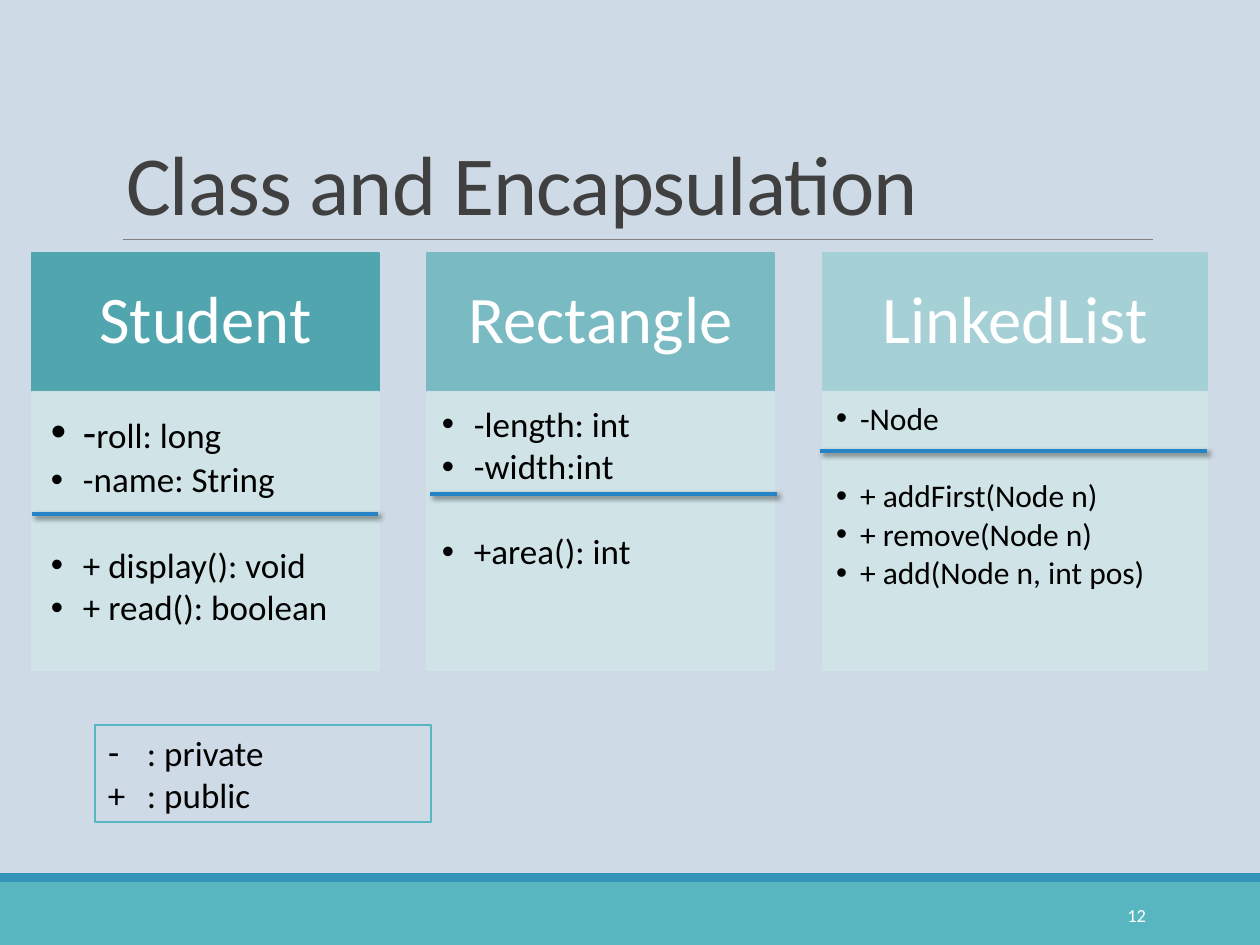
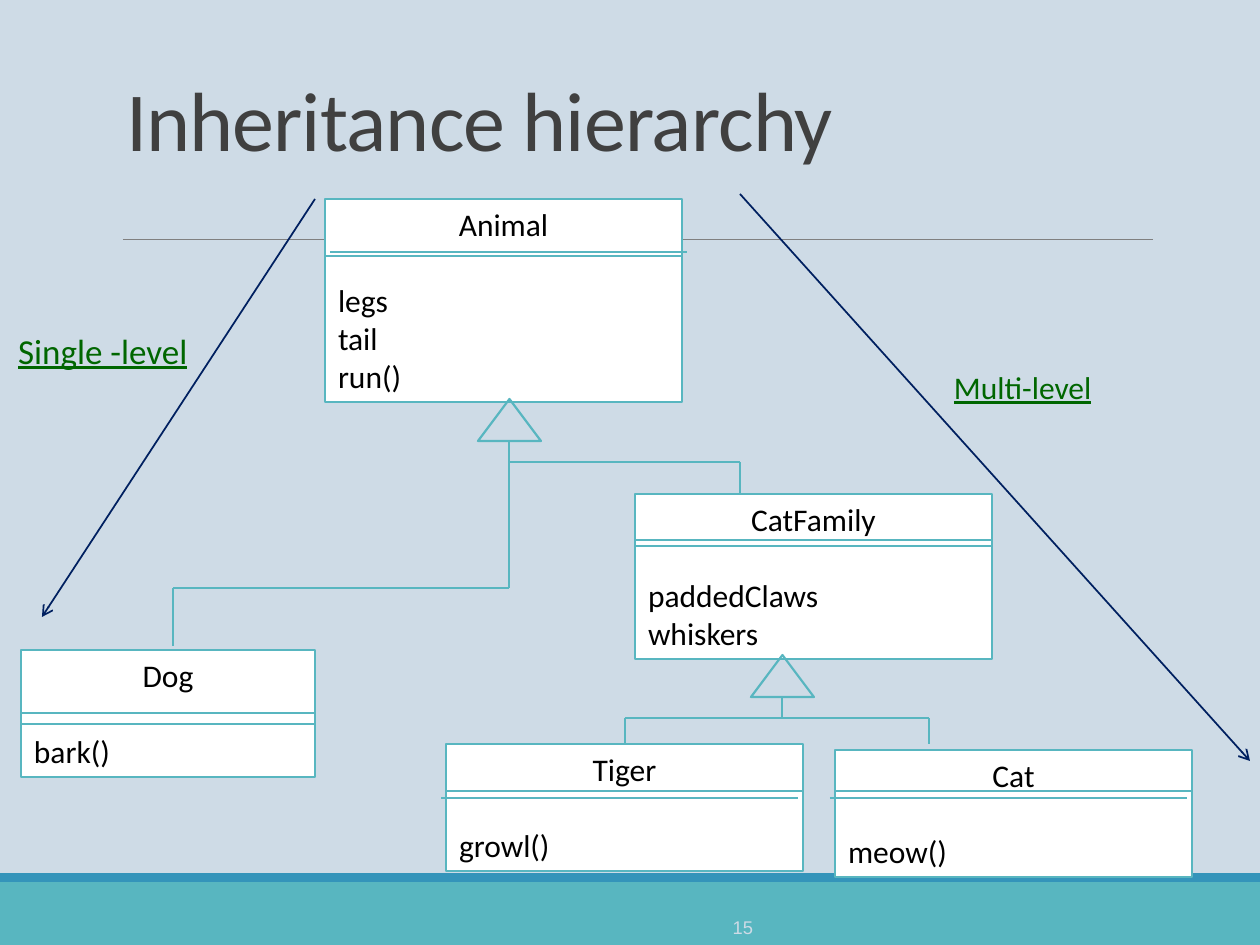
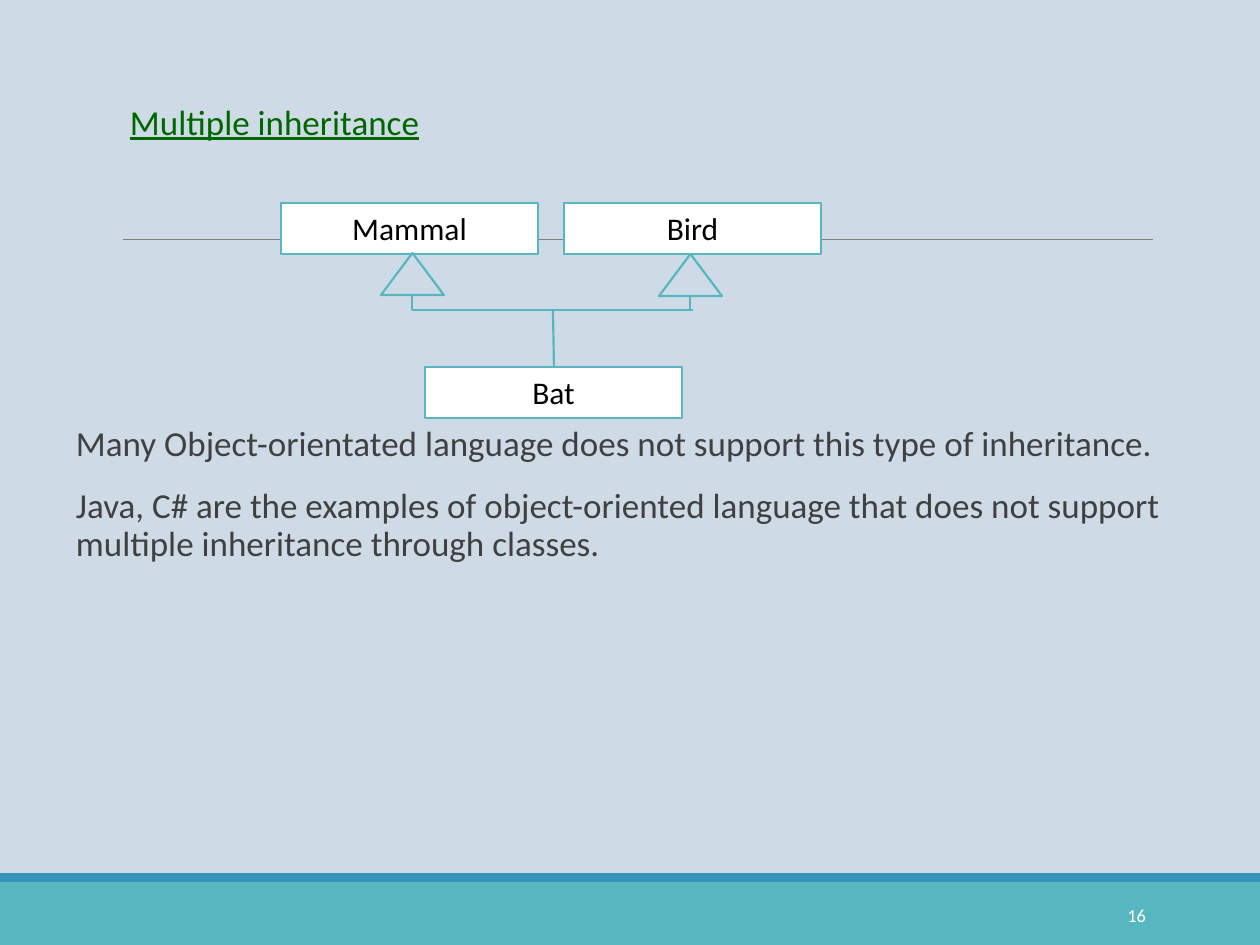
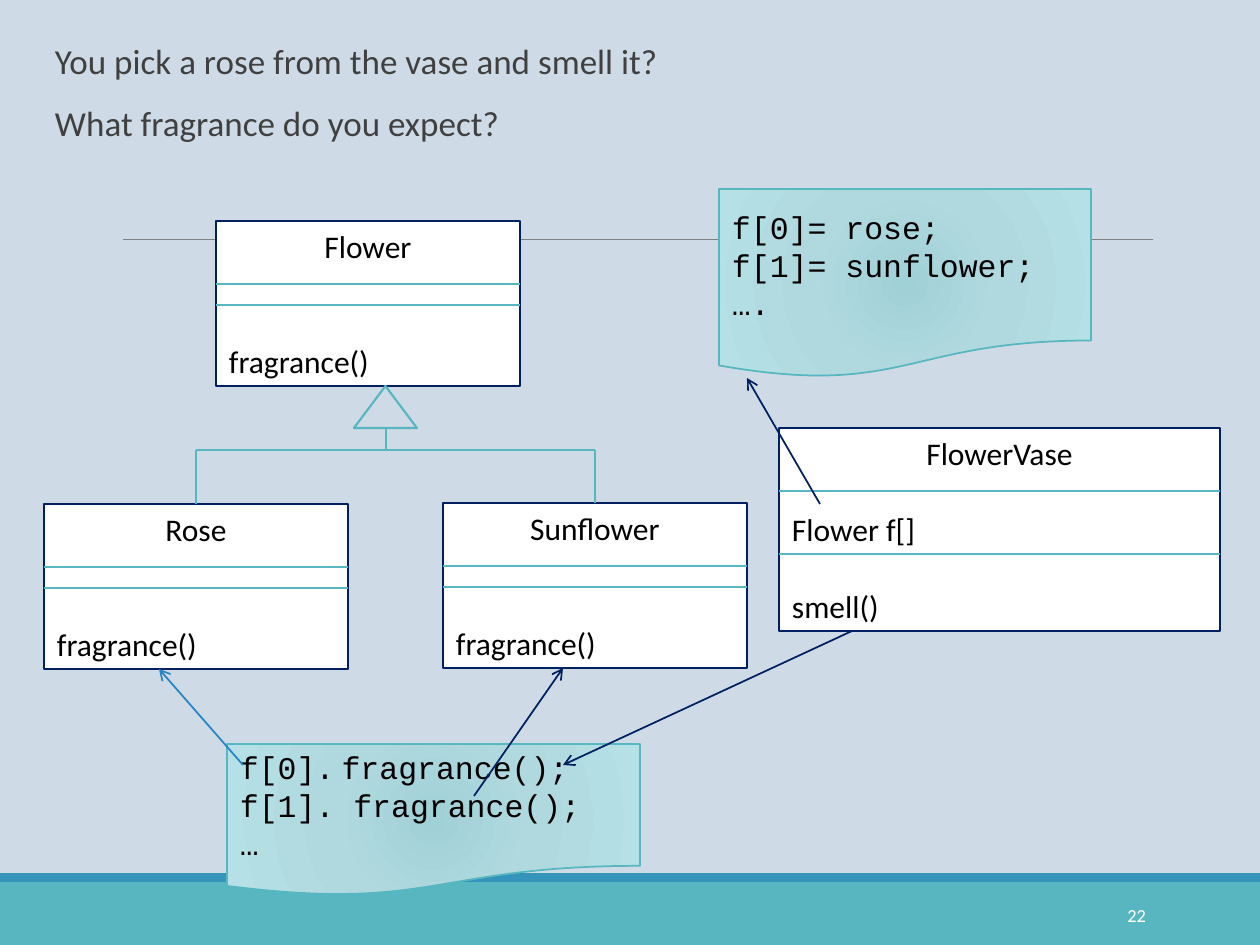
from dataclasses import dataclass
from typing import NamedTuple

from lxml.etree import SubElement
from pptx import Presentation
from pptx.dml.color import RGBColor
from pptx.enum.shapes import MSO_CONNECTOR, MSO_SHAPE
from pptx.enum.text import MSO_ANCHOR, MSO_AUTO_SIZE, PP_ALIGN
from pptx.oxml.ns import qn
from pptx.util import Emu, Pt

SCALE = 914400 / 126
HUES = {
    "back": "CEDBE6", "teal": "58B6C0", "band": "3494BA", "grey": "808080",
    "title": "404040", "white": "FFFFFF", "black": "000000", "navy": "002060",
    "blue": "2683C6", "green": "006600", "card": "D1E5E8",
    "head1": "50A5AE", "head2": "7ABAC2", "head3": "A5D0D6",
    "glow1": "A0D1D7", "glow2": "B0D9DF", "glow3": "B5E0E6",
}
LINE = 38
GAP = 22
PAD = (13, 6, 13, 6)


class Area(NamedTuple):
    left: int
    top: int
    width: int
    height: int


class Wire(NamedTuple):
    x1: int
    y1: int
    x2: int
    y2: int


class Rule(NamedTuple):
    drop: int
    shift: int = 0


@dataclass(frozen=True)
class Style:
    size: float = 18
    hue: str = "black"
    font: str = "Calibri"
    under: bool = False


class Piece(NamedTuple):
    text: str
    style: Style = Style()


@dataclass(frozen=True)
class Para:
    runs: tuple[Piece, ...]
    align: PP_ALIGN = PP_ALIGN.LEFT
    before: float = 0
    after: float = 0
    line: float = 1.0
    mark: str = ""
    hang: int = 0


@dataclass(frozen=True)
class Card:
    left: int
    width: int
    name: str
    hue: str
    fields: tuple[tuple[Piece, ...], ...]
    calls: tuple[tuple[Piece, ...], ...]
    size: int
    hang: int
    pad: tuple[int, int, int, int]
    rule: Wire


@dataclass(frozen=True)
class Box:
    left: int
    top: int
    width: int
    name: str
    groups: tuple[tuple[str, ...], ...] = ()
    rules: tuple[Rule, ...] = ()
    edge: str = "teal"

    def height(self) -> int:
        return 13 + LINE * (1 + sum(len(group) + 1 for group in self.groups))


def px(value: float) -> Emu:
    return Emu(round(value * SCALE))


def rgb(hue: str) -> RGBColor:
    return RGBColor.from_string(HUES[hue])


def plain(text: str, style: Style = Style(), **extra) -> Para:
    return Para((Piece(text, style),), **extra)


def write(frame, paras, pad=PAD, anchor=MSO_ANCHOR.TOP, wrap=True) -> None:
    frame.auto_size = MSO_AUTO_SIZE.NONE
    frame.word_wrap = wrap
    frame.vertical_anchor = anchor
    frame.margin_left, frame.margin_top, frame.margin_right, frame.margin_bottom = map(px, pad)
    for index, para in enumerate(paras):
        line = frame.add_paragraph() if index else frame.paragraphs[0]
        line.alignment = para.align
        line.line_spacing = para.line
        line.space_before = Pt(para.before)
        line.space_after = Pt(para.after)
        if para.hang:
            props = line._p.get_or_add_pPr()
            props.set("marL", str(px(para.hang)))
            props.set("indent", str(-px(para.hang)))
            if para.mark:
                SubElement(props, qn("a:buFont")).set("typeface", "Arial")
                SubElement(props, qn("a:buChar")).set("char", para.mark)
        for piece in para.runs:
            run = line.add_run()
            run.text = piece.text
            run.font.name = piece.style.font
            run.font.size = Pt(piece.style.size)
            run.font.color.rgb = rgb(piece.style.hue)
            if piece.style.under:
                run.font.underline = True


def draw(slide, kind: MSO_SHAPE, area: Area, fill: str = "", edge: str = "", weight: float = 1.25):
    shape = slide.shapes.add_shape(kind, *map(px, area))
    shape.shadow.inherit = False
    if fill:
        shape.fill.solid()
        shape.fill.fore_color.rgb = rgb(fill)
    else:
        shape.fill.background()
    if edge:
        shape.line.color.rgb = rgb(edge)
        shape.line.width = Pt(weight)
    else:
        shape.line.fill.background()
    return shape


def label(slide, area: Area, paras, **extra) -> None:
    write(slide.shapes.add_textbox(*map(px, area)).text_frame, paras, **extra)


def link(slide, wire: Wire, hue: str = "teal", weight: float = 1.25,
         arrow: bool = False, shade: bool = False):
    line = slide.shapes.add_connector(MSO_CONNECTOR.STRAIGHT, *map(px, wire))
    line.line.color.rgb = rgb(hue)
    line.line.width = Pt(weight)
    props = line.element.spPr
    if arrow:
        SubElement(props.find(qn("a:ln")), qn("a:tailEnd")).set("type", "arrow")
    effect = SubElement(props, qn("a:effectLst"))
    if shade:
        shadow = SubElement(effect, qn("a:outerShdw"), blurRad=str(Pt(3)),
                            dist=str(Pt(2)), dir="2700000", rotWithShape="0")
        tint = SubElement(shadow, qn("a:srgbClr"), val=HUES["black"])
        SubElement(tint, qn("a:alpha"), val="60000")
    return line


def dress(deck, slide) -> None:
    master = deck.slide_master
    master.background.fill.solid()
    master.background.fill.fore_color.rgb = rgb("back")
    parts = (
        draw(slide, MSO_SHAPE.RECTANGLE, Area(0, 882, 1260, 63), "teal"),
        draw(slide, MSO_SHAPE.RECTANGLE, Area(0, 873, 1260, 9), "band"),
        link(slide, Wire(123, 239, 1153, 239), "grey", 0.5),
    )
    for part in parts:
        master.shapes.element.append(part.element)


def head(slide, text: str, height: int) -> None:
    title = slide.shapes.title
    title.left, title.top, title.width, title.height = map(px, Area(113, 39, 1040, height))
    write(title.text_frame, [plain(text, Style(48, "title"), line=0.85)], anchor=MSO_ANCHOR.BOTTOM)
    for props in title.element.iter(qn("a:rPr")):
        props.set("spc", "-50")


def number(slide, text: str, area: Area = Area(1023, 890, 136, 50),
           style: Style = Style(10.5, "white")) -> None:
    label(slide, area, [plain(text, style, align=PP_ALIGN.RIGHT)], anchor=MSO_ANCHOR.MIDDLE)


def prose(slide, area: Area, lines: tuple[str, ...]) -> None:
    paras = [plain(text, Style(20, "title"), line=0.9, before=12 if index else 0, after=2)
             for index, text in enumerate(lines)]
    label(slide, area, paras, pad=(13, 6, 0, 6))


def tag(slide, area: Area, text: str, size: int) -> None:
    label(slide, area, [plain(text, Style(size, "green", under=True))], wrap=False)


def card(slide, item: Card) -> None:
    top = draw(slide, MSO_SHAPE.RECTANGLE, Area(item.left, 253, item.width, 139), item.hue, item.hue)
    write(top.text_frame, [plain(item.name, Style(38, "white"), align=PP_ALIGN.CENTER, line=0.9)],
          (38, 21, 38, 21), MSO_ANCHOR.MIDDLE)
    body = draw(slide, MSO_SHAPE.RECTANGLE, Area(item.left, 392, item.width, 278), "card", "card")
    for tint in body.element.spPr.iter(qn("a:srgbClr")):
        SubElement(tint, qn("a:alpha"), val="90000")
    split = len(item.fields)
    paras = [Para(runs, before=round(item.size * 1.23, 1) if index == split else 0,
                  after=2.6, line=0.9, mark="•", hang=item.hang)
             for index, runs in enumerate(item.fields + item.calls)]
    write(body.text_frame, paras, item.pad)


def box(slide, item: Box) -> None:
    area = Area(item.left, item.top, item.width, item.height())
    shape = draw(slide, MSO_SHAPE.RECTANGLE, area, "white", item.edge)
    paras = [plain(item.name, align=PP_ALIGN.CENTER)]
    space = 0
    for group in item.groups:
        space += GAP
        for text in group:
            paras.append(plain(text, before=space))
            space = 0
    write(shape.text_frame, paras)
    for rule in item.rules:
        left, high = item.left + rule.shift, item.top + rule.drop
        link(slide, Wire(left, high, left + item.width, high), weight=1)


def tree(slide, boxes, tips, wires) -> None:
    for item in boxes:
        box(slide, item)
    for left, top in tips:
        draw(slide, MSO_SHAPE.ISOSCELES_TRIANGLE, Area(left, top, 63, 42), edge="teal")
    for wire in wires:
        link(slide, wire)


def note(slide, area: Area, lines: tuple[tuple[Piece, ...], ...]) -> None:
    shape = draw(slide, MSO_SHAPE.FLOWCHART_DOCUMENT, area, "glow1", "teal", 1)
    props = shape.element.spPr
    solid = props.find(qn("a:solidFill"))
    grad = SubElement(props, qn("a:gradFill"), rotWithShape="1")
    stops = SubElement(grad, qn("a:gsLst"))
    for place, hue in ((0, "glow1"), (45, "glow2"), (100, "glow3")):
        stop = SubElement(stops, qn("a:gs"), pos=str(place * 1000))
        SubElement(stop, qn("a:srgbClr"), val=HUES[hue])
    course = SubElement(grad, qn("a:path"), path="circle")
    SubElement(course, qn("a:fillToRect"), {side: "100000" for side in "ltrb"})
    props.replace(solid, grad)
    write(shape.text_frame, [Para(runs) for runs in lines], anchor=MSO_ANCHOR.MIDDLE)


def items(size: int, *texts: str) -> tuple[tuple[Piece, ...], ...]:
    return tuple((Piece(text, Style(size)),) for text in texts)


def classes(slide) -> None:
    head(slide, "Class and Encapsulation", 200)
    number(slide, "12")
    roll = ((Piece("-", Style(25)), Piece("roll: long", Style(20))),)
    cards = (
        Card(32, 347, "Student", "head1", roll + items(20, "-name: String"),
             items(20, "+ display(): void", "+ read(): boolean"),
             20, 32, (19, 19, 24, 28), Wire(32, 514, 378, 514)),
        Card(427, 347, "Rectangle", "head2", items(20, "-length: int", "-width:int"),
             items(20, "+area(): int"),
             20, 32, (15, 15, 20, 21), Wire(430, 494, 777, 494)),
        Card(823, 384, "LinkedList", "head3", items(18, "-Node"),
             items(18, "+ addFirst(Node n)", "+ remove(Node n)", "+ add(Node n, int pos)"),
             18, 24, (13, 11, 18, 20), Wire(820, 451, 1207, 451)),
    )
    for item in cards:
        card(slide, item)
    for item in cards:
        link(slide, item.rule, "blue", 2, shade=True)
    key = draw(slide, MSO_SHAPE.RECTANGLE, Area(95, 725, 336, 97), edge="teal", weight=0.75)
    write(key.text_frame, [plain(": private", Style(20), mark="-", hang=39),
                           plain("+\t: public", Style(20), hang=39)])


def levels(slide) -> None:
    head(slide, "Inheritance hierarchy", 136)
    number(slide, "15", Area(472, 911, 294, 33), Style(10.5, "back", "Arial"))
    boxes = (
        Box(325, 199, 357, "Animal", (("legs", "tail", "run()"),), (Rule(57), Rule(53, 5))),
        Box(21, 650, 294, "Dog", (("bark()",),), (Rule(63), Rule(74))),
        Box(446, 744, 357, "Tiger", (("growl()",),), (Rule(47), Rule(54, -5))),
        Box(635, 494, 357, "CatFamily", (("paddedClaws", "whiskers"),), (Rule(46), Rule(52))),
        Box(835, 750, 357, "Cat", (("meow()",),), (Rule(41), Rule(48, -5))),
    )
    wires = (
        Wire(509, 441, 509, 588), Wire(509, 588, 173, 588), Wire(173, 588, 173, 646),
        Wire(509, 462, 740, 462), Wire(740, 462, 740, 494),
        Wire(782, 697, 782, 718), Wire(625, 718, 929, 718),
        Wire(625, 744, 625, 718), Wire(929, 744, 929, 718),
    )
    tree(slide, boxes, ((478, 399), (751, 655)), wires)
    for wire in (Wire(315, 199, 42, 617), Wire(740, 194, 1250, 761)):
        link(slide, wire, "navy", 1, arrow=True)
    tag(slide, Area(5, 323, 218, 55), "Single -level", 20)
    tag(slide, Area(941, 362, 169, 50), "Multi-level", 18)


def merge(slide) -> None:
    prose(slide, Area(63, 420, 1134, 456), (
        "Many Object-orientated language does not support this type of inheritance.",
        "Java, C# are the examples of object-oriented language that does not support "
        "multiple inheritance through classes."))
    number(slide, "16")
    boxes = (Box(281, 203, 257, "Mammal"), Box(564, 203, 257, "Bird"), Box(425, 367, 257, "Bat"))
    wires = (Wire(412, 295, 412, 310), Wire(690, 295, 690, 310),
             Wire(412, 310, 693, 310), Wire(553, 310, 554, 367))
    tree(slide, boxes, ((381, 253), (659, 254)), wires)
    tag(slide, Area(117, 94, 330, 55), "Multiple inheritance", 20)


def flowers(slide) -> None:
    prose(slide, Area(42, 38, 829, 151), (
        "You pick a rose from the vase and smell it?", "What fragrance do you expect?"))
    number(slide, "22")
    smell = ((), ("fragrance()",))
    rules = (Rule(63), Rule(84))
    boxes = (
        Box(216, 221, 304, "Flower", smell, rules, "navy"),
        Box(44, 504, 304, "Rose", smell, rules, "navy"),
        Box(443, 503, 304, "Sunflower", smell, rules, "navy"),
        Box(779, 428, 441, "FlowerVase", (("Flower f[]",), ("smell()",)),
            (Rule(63), Rule(126)), "navy"),
    )
    wires = (Wire(386, 428, 386, 450), Wire(196, 450, 595, 450),
             Wire(196, 450, 196, 504), Wire(595, 450, 595, 503))
    tree(slide, boxes, ((354, 386),), wires)
    code = Style(font="Courier New")
    note(slide, Area(719, 189, 372, 189), (
        (Piece("f[0]= rose;", code),), (Piece("f[1]= sunflower;", code),), (Piece("….", code),)))
    note(slide, Area(227, 744, 413, 152), (
        (Piece("f[0].", code), Piece(" "), Piece("fragrance();", code)),
        (Piece("f[1]. fragrance();", code),), (Piece("…", code),)))
    arrows = ((Wire(820, 504, 747, 378), "navy"), (Wire(852, 631, 563, 765), "navy"),
              (Wire(243, 765, 159, 669), "blue"), (Wire(474, 796, 563, 668), "navy"))
    for wire, hue in arrows:
        link(slide, wire, hue, 1, arrow=True)


def main() -> None:
    deck = Presentation()
    deck.slide_width, deck.slide_height = px(1260), px(945)
    titled, blank = deck.slide_layouts[5], deck.slide_layouts[6]
    pages = ((titled, classes), (titled, levels), (blank, merge), (blank, flowers))
    for index, (layout, build) in enumerate(pages):
        slide = deck.slides.add_slide(layout)
        if index == 0:
            dress(deck, slide)
        build(slide)
    deck.save("out.pptx")


main()
